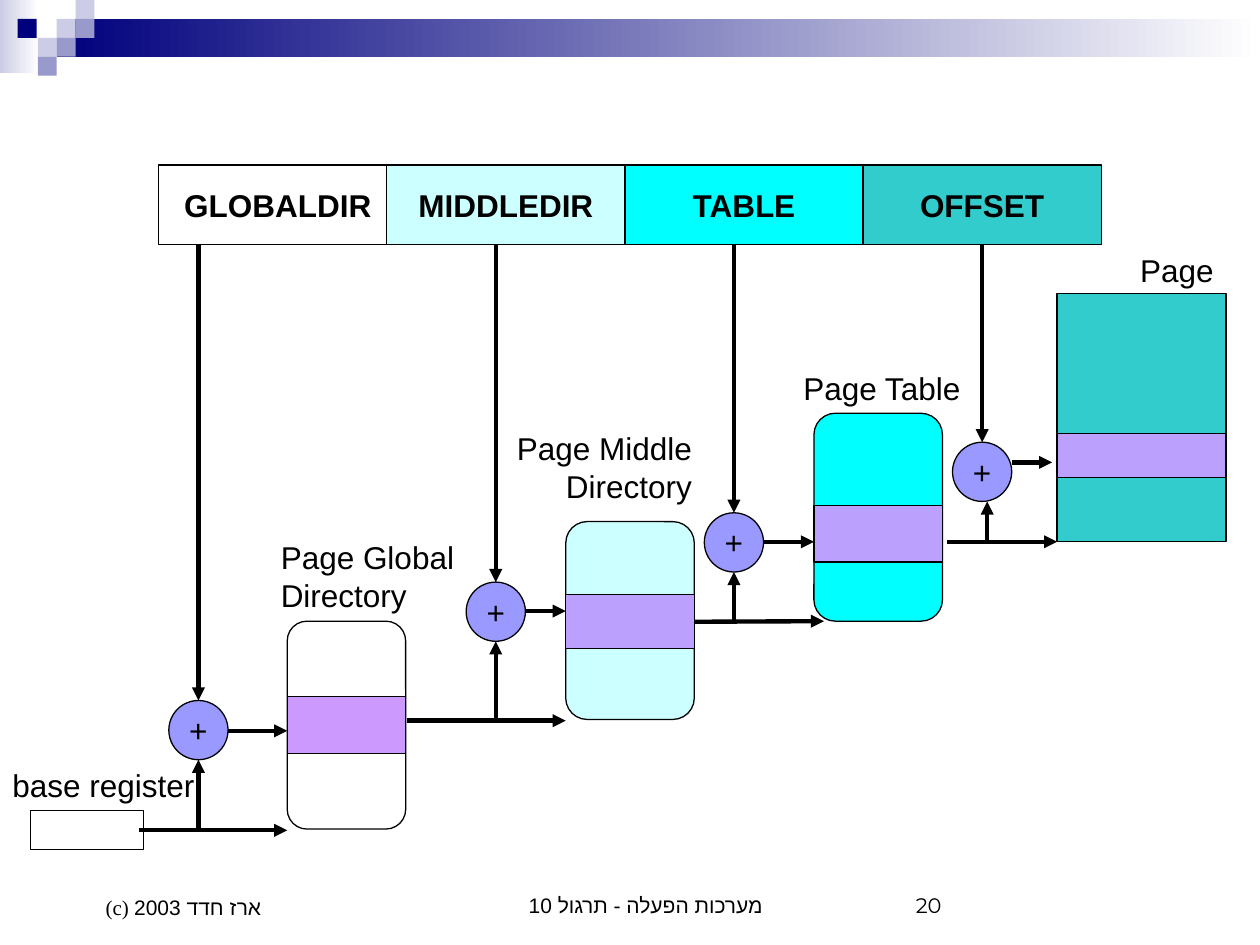
from dataclasses import dataclass
from typing import Optional

from lxml import etree
from pptx import Presentation
from pptx.dml.color import RGBColor
from pptx.enum.shapes import MSO_CONNECTOR, MSO_SHAPE
from pptx.enum.text import MSO_ANCHOR, PP_ALIGN
from pptx.oxml.ns import qn
from pptx.util import Inches, Pt

RECT, ROUND, OVAL = MSO_SHAPE.RECTANGLE, MSO_SHAPE.ROUNDED_RECTANGLE, MSO_SHAPE.OVAL
STRAIGHT = MSO_CONNECTOR.STRAIGHT
LEFT, CENTER, RIGHT = PP_ALIGN.LEFT, PP_ALIGN.CENTER, PP_ALIGN.RIGHT
TOP, MIDDLE, BOTTOM = MSO_ANCHOR.TOP, MSO_ANCHOR.MIDDLE, MSO_ANCHOR.BOTTOM

COLORS = {
    "black": "000000", "white": "FFFFFF", "navy": "00007D", "pale": "CCCCE6",
    "slate": "9999CC", "ice": "CCFFFF", "cyan": "00FFFF", "teal": "33CCCC",
    "violet": "BBA1FD", "orchid": "CC99FF", "adder": "9999FF",
}
CIRCLE = 0.47
FIELD_TOP, FIELD_WIDTH, FIELD_HEIGHT = 1.31, 1.89, 0.63
SQUARE = 0.15


@dataclass
class Field:
    name: str
    left: float
    color: Optional[str]


@dataclass
class Table:
    """A lookup table with one highlighted entry."""
    kind: int
    left: float
    top: float
    width: float
    height: float
    color: Optional[str]
    entry_top: float
    entry_height: float
    entry_color: str = "violet"


@dataclass
class Adder:
    """A plus circle with its index, base and result arrows."""
    left: float
    top: float
    result_y: float
    result_end: float
    base_start: float
    base_end: float
    base_y: float
    riser_shift: float = 0


@dataclass
class Label:
    text: str
    left: float
    top: float
    width: float
    height: float
    align: int = LEFT
    size: int = 18
    font: str = "Arial"
    anchor: int = TOP
    indent: float = 0


FIELDS = [
    Field("GLOBALDIR", 1.26, None), Field("MIDDLEDIR", 3.07, "ice"),
    Field("TABLE", 4.96, "cyan"), Field("OFFSET", 6.85, "teal"),
]
TABLES = [
    Table(ROUND, 2.28, 4.93, 0.94, 1.65, None, 5.53, 0.45, "orchid"),
    Table(ROUND, 4.49, 4.14, 1.02, 1.57, "ice", 4.72, 0.43),
    Table(ROUND, 6.46, 3.28, 1.02, 1.65, "cyan", 4.01, 0.45),
    Table(RECT, 8.39, 2.33, 1.34, 1.97, "teal", 3.44, 0.35),
]
ADDERS = [
    Adder(1.34, 5.56, 5.8, 2.28, 1.1, 2.28, 6.59),
    Adder(3.7, 4.62, 4.85, 4.49, 3.23, 4.49, 5.72),
    Adder(5.59, 4.07, 4.3, 6.46, 5.51, 6.54, 4.93),
    Adder(7.56, 3.51, 3.67, 8.35, 7.52, 8.39, 4.3, 0.04),
]
LABELS = [
    Label("base register", 0, 6.03, 1.85, 0.4),
    Label("Page Global Directory", 2.13, 4.22, 1.89, 0.7),
    Label("Page Middle Directory", 3.86, 3.36, 1.73, 0.7, RIGHT),
    Label("Page Table", 5.83, 2.88, 1.89, 0.4, RIGHT),
    Label("Page", 8.59, 1.94, 1.14, 0.4, RIGHT),
    Label("(c) ארז חדד 2003", 0.5, 6.83, 2.33, 0.52, LEFT, 12, "Times New Roman", BOTTOM, 0.24),
    Label("מערכות הפעלה - תרגול 10", 3.42, 6.83, 3.17, 0.5, CENTER, 12, "Times New Roman", BOTTOM, 0.24),
    Label("20", 7.17, 6.83, 2.33, 0.5, LEFT, 12, "Montserrat", BOTTOM),
]
SQUARES = [
    (0.45, 0.15, "pale"), (0.6, 0, "pale"), (0.6, 0.15, "slate"), (0.3, 0.3, "pale"),
    (0.14, 0.15, "navy"), (0.45, 0.3, "slate"), (0.3, 0.45, "slate"),
]


def rgb(name: str) -> RGBColor:
    return RGBColor.from_string(COLORS[name])


def add_box(slide, kind, left, top, width, height, color=None, outlined=True):
    box = slide.shapes.add_shape(kind, Inches(left), Inches(top), Inches(width), Inches(height))
    box.shadow.inherit = False
    if color:
        box.fill.solid()
        box.fill.fore_color.rgb = rgb(color)
    else:
        box.fill.background()
    if outlined:
        box.line.color.rgb = rgb("black")
        box.line.width = Pt(0.75)
    else:
        box.line.fill.background()
    return box


def add_band(slide, left, top, width, height, color) -> None:
    band = add_box(slide, RECT, left, top, width, height, outlined=False)
    band.fill.gradient()
    band.fill.gradient_angle = 0
    for stop, name in zip(band.fill.gradient_stops, (color, "white")):
        stop.color.rgb = rgb(name)


def write(box, text, size=18, font="Arial", bold=False, align=CENTER, anchor=MIDDLE, wrap=False):
    frame = box.text_frame
    frame.word_wrap = wrap
    frame.vertical_anchor = anchor
    para = frame.paragraphs[0]
    para.alignment = align
    span = para.add_run()
    span.text = text
    span.font.size = Pt(size)
    span.font.name = font
    span.font.bold = bold
    span.font.color.rgb = rgb("black")
    # Hebrew letters use the complex-script font
    etree.SubElement(span.font._element, qn("a:cs"), typeface="Arial")
    return para


def add_arrow(slide, x1, y1, x2, y2):
    arrow = slide.shapes.add_connector(STRAIGHT, Inches(x1), Inches(y1), Inches(x2), Inches(y2))
    arrow.line.color.rgb = rgb("black")
    arrow.line.width = Pt(2.5)
    etree.SubElement(arrow.line._get_or_add_ln(), qn("a:tailEnd"), type="triangle")
    etree.SubElement(arrow._element.spPr, qn("a:effectLst"))
    return arrow


def add_table_box(slide, table: Table):
    add_box(slide, table.kind, table.left, table.top, table.width, table.height, table.color)
    return add_box(slide, RECT, table.left, table.entry_top, table.width,
                   table.entry_height, table.entry_color)


def add_adder(slide, adder: Adder):
    circle = add_box(slide, OVAL, adder.left, adder.top, CIRCLE, CIRCLE, "adder")
    write(circle, "+")
    center = adder.left + CIRCLE / 2
    riser = center + adder.riser_shift
    index = add_arrow(slide, center, FIELD_TOP + FIELD_HEIGHT, center, adder.top)
    index.end_connect(circle, 0)
    add_arrow(slide, adder.left + CIRCLE, adder.result_y, adder.result_end, adder.result_y)
    add_arrow(slide, riser, adder.base_y, riser, adder.top + CIRCLE)
    return add_arrow(slide, adder.base_start, adder.base_y, adder.base_end, adder.base_y)


def add_label(slide, label: Label) -> None:
    box = slide.shapes.add_textbox(Inches(label.left), Inches(label.top),
                                   Inches(label.width), Inches(label.height))
    para = write(box, label.text, label.size, label.font, align=label.align,
                 anchor=label.anchor, wrap=True)
    if label.indent:
        para._p.get_or_add_pPr().set("marL", str(Inches(label.indent)))
        para._p.get_or_add_pPr().set("indent", "0")


def main() -> None:
    deck = Presentation()
    deck.slide_width, deck.slide_height = Inches(10), Inches(7.5)
    page = deck.slides.add_slide(deck.slide_layouts[6])

    # Header decoration
    add_band(page, 0, 0, 0.31, 0.58, "pale")
    add_band(page, 0.45, 0.15, 9.55, 0.3, "navy")
    for left, top, color in SQUARES:
        add_box(page, RECT, left, top, SQUARE, SQUARE, color, outlined=False)

    # Linear address fields
    for field in FIELDS:
        box = add_box(page, RECT, field.left, FIELD_TOP, FIELD_WIDTH, FIELD_HEIGHT, field.color)
        write(box, field.name, bold=True)

    # Base register, tables and the adders between them
    add_box(page, RECT, 0.24, 6.43, 0.9, 0.31)
    entries = [add_table_box(page, table) for table in TABLES]
    bases = [add_adder(page, adder) for adder in ADDERS]
    bases[2].begin_connect(entries[1], 3)

    # Labels and footer
    for label in LABELS:
        add_label(page, label)

    deck.save("out.pptx")


if __name__ == "__main__":
    main()
